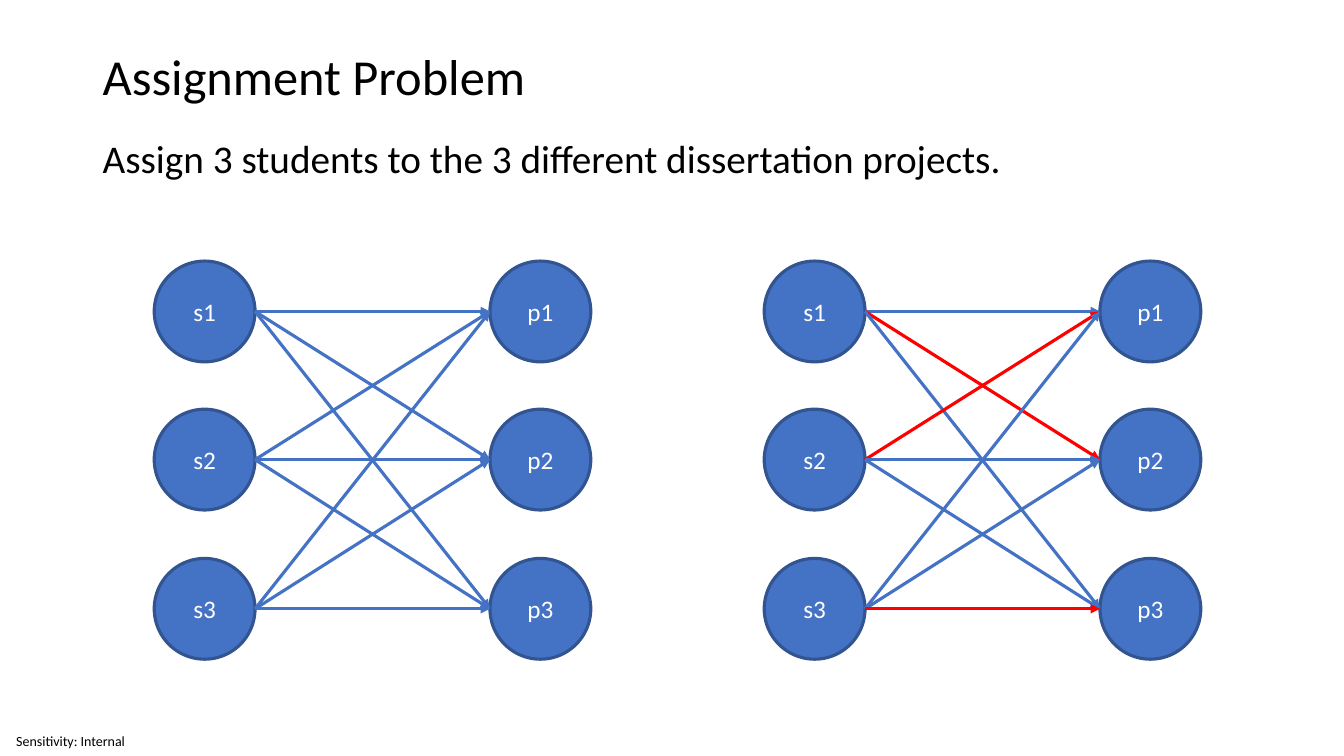
from dataclasses import dataclass
from itertools import product

from lxml import etree
from pptx import Presentation
from pptx.dml.color import RGBColor
from pptx.enum.shapes import MSO_CONNECTOR, MSO_SHAPE
from pptx.enum.text import MSO_ANCHOR, PP_ALIGN
from pptx.oxml.ns import qn
from pptx.shapes.autoshape import Shape
from pptx.shapes.shapetree import GroupShapes, SlideShapes
from pptx.util import Emu, Pt

SCALE = 9144
FONT = "Calibri"
BLACK = RGBColor(0x00, 0x00, 0x00)
WHITE = RGBColor(0xFF, 0xFF, 0xFF)
BLUE = RGBColor(0x44, 0x72, 0xC4)
NAVY = RGBColor(0x32, 0x54, 0x91)
RED = RGBColor(0xFF, 0x00, 0x00)

OVAL = MSO_SHAPE.OVAL
LINE = MSO_CONNECTOR.STRAIGHT
TOP = MSO_ANCHOR.TOP
MIDDLE = MSO_ANCHOR.MIDDLE
LEFT = PP_ALIGN.LEFT
CENTER = PP_ALIGN.CENTER

ROWS = range(3)
SIZE = 100
FIRST = 259
PITCH = 295
REACH = 333
STROKE = Pt(2.25)


@dataclass(frozen=True)
class Graph:
    left: int
    chosen: frozenset[tuple[int, int]]


GRAPHS = (
    Graph(153, frozenset()),
    Graph(758, frozenset({(0, 1), (1, 0), (2, 2)})),
)


def px(count: int) -> Emu:
    return Emu(count * SCALE)


def row_top(row: int) -> int:
    return FIRST + row * PITCH // 2


def put_text(shape: Shape, text: str, *, size: int, color: RGBColor = BLACK,
             align: PP_ALIGN = LEFT, anchor: MSO_ANCHOR = MIDDLE,
             spacing: float = 1.0, inset: bool = True) -> None:
    frame = shape.text_frame
    frame.word_wrap = True
    frame.vertical_anchor = anchor
    if not inset:
        frame.margin_left = frame.margin_right = 0
        frame.margin_top = frame.margin_bottom = 0
    para = frame.paragraphs[0]
    para.alignment = align
    para.line_spacing = spacing
    run = para.add_run()
    run.text = text
    run.font.name = FONT
    run.font.size = Pt(size)
    run.font.color.rgb = color


def add_box(shapes: SlideShapes, left: int, top: int, width: int, height: int) -> Shape:
    return shapes.add_textbox(px(left), px(top), px(width), px(height))


def add_node(shapes: GroupShapes, left: int, row: int, label: str) -> None:
    node = shapes.add_shape(OVAL, px(left), px(row_top(row)), px(SIZE), px(SIZE))
    node.shadow.inherit = False
    node.fill.solid()
    node.fill.fore_color.rgb = BLUE
    node.line.color.rgb = NAVY
    node.line.width = STROKE
    put_text(node, label, size=18, color=WHITE, align=CENTER)


def add_arrow(shapes: GroupShapes, left: int, start: int, end: int, color: RGBColor) -> None:
    half = SIZE // 2
    arrow = shapes.add_connector(
        LINE, px(left + SIZE), px(row_top(start) + half),
        px(left + REACH), px(row_top(end) + half))
    arrow.line.color.rgb = color
    arrow.line.width = STROKE
    etree.SubElement(arrow.line._get_or_add_ln(), qn("a:tailEnd"), type="triangle")
    etree.SubElement(arrow._element.spPr, qn("a:effectLst"))


def add_graph(shapes: SlideShapes, graph: Graph) -> None:
    group = shapes.add_group_shape().shapes
    for (side, kind), row in product(enumerate("sp"), ROWS):
        add_node(group, graph.left + side * REACH, row, f"{kind}{row + 1}")
    for start, end in product(ROWS, ROWS):
        color = RED if (start, end) in graph.chosen else BLUE
        add_arrow(group, graph.left, start, end, color)


def main() -> None:
    deck = Presentation()
    deck.slide_width = px(1333)
    deck.slide_height = px(750)
    shapes = deck.slides.add_slide(deck.slide_layouts[6]).shapes
    put_text(add_box(shapes, 0, 721, 140, 29), "Sensitivity: Internal",
             size=10, align=CENTER, inset=False)
    put_text(add_box(shapes, 92, 134, 1150, 541),
             "Assign 3 students to the 3 different dissertation projects.",
             size=28, anchor=TOP, spacing=0.9)
    put_text(add_box(shapes, 92, 40, 1150, 77), "Assignment Problem",
             size=36, spacing=0.9)
    for graph in GRAPHS:
        add_graph(shapes, graph)
    deck.save("out.pptx")


if __name__ == "__main__":
    main()
